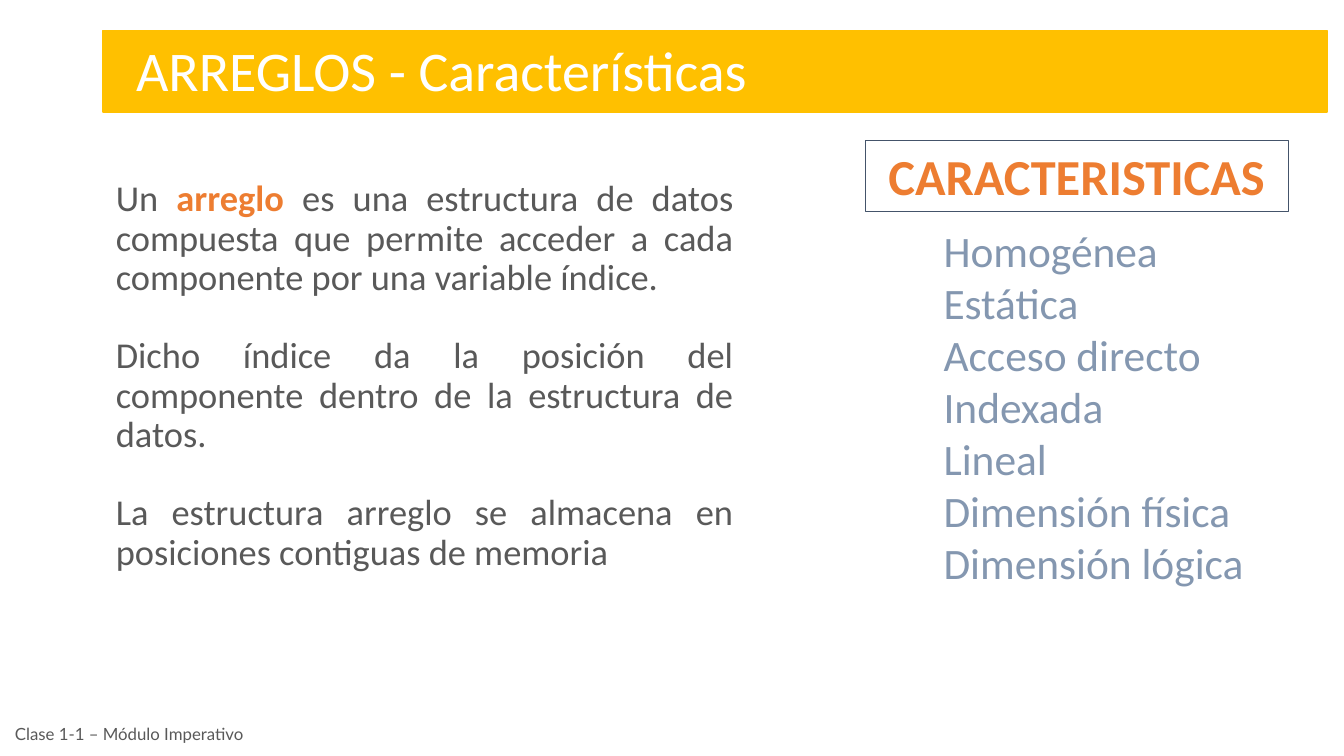
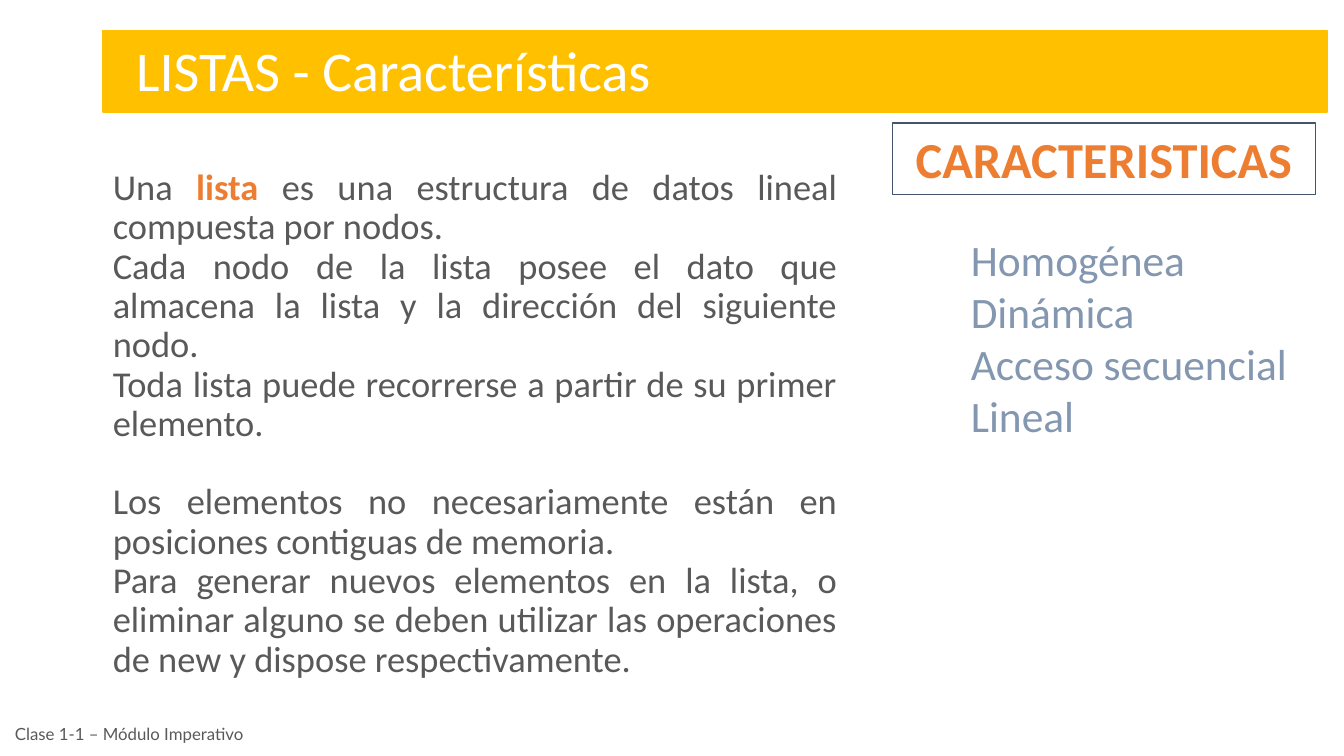
from pptx import Presentation
from pptx.dml.color import RGBColor
from pptx.enum.shapes import MSO_SHAPE as Shape
from pptx.enum.text import MSO_ANCHOR as Anchor, MSO_AUTO_SIZE as AutoSize, PP_ALIGN as Align
from pptx.util import Inches, Pt

AMBER = RGBColor(0xFF, 0xC0, 0x00)
WHITE = RGBColor(0xFF, 0xFF, 0xFF)
GRAY = RGBColor(0x59, 0x59, 0x59)
ORANGE = RGBColor(0xED, 0x7D, 0x31)
NAVY = RGBColor(0x44, 0x54, 0x6A)
STEEL = RGBColor(0x84, 0x97, 0xB0)
FOOTER = "Clase 1-1 – Módulo Imperativo"
TITLE_ONLY = 5


class Deck:
    """Holds the shared style and the current slide."""

    def __init__(self):
        self.presentation = Presentation()
        self.presentation.slide_width = Inches(13.33)
        self.presentation.slide_height = Inches(7.5)
        self.slide = None

    def format_runs(self, paragraph, size, color, bold=False, font="Calibri"):
        for run in paragraph.runs:
            run.font.name = font
            run.font.size = Pt(size)
            run.font.color.rgb = color
            run.font.bold = bold

    def set_text(self, shape, text, size, color, align=Align.LEFT, anchor=Anchor.TOP, **style):
        text_frame = shape.text_frame
        text_frame.text = text
        text_frame.word_wrap = True
        text_frame.auto_size = AutoSize.NONE
        text_frame.vertical_anchor = anchor
        for paragraph in text_frame.paragraphs:
            paragraph.alignment = align
            self.format_runs(paragraph, size, color, **style)

    def textbox(self, left, top, width, height):
        return self.slide.shapes.add_textbox(
            Inches(left), Inches(top), Inches(width), Inches(height))

    def rectangle(self, left, top, width, height, line_color, line_width, fill=None):
        shape = self.slide.shapes.add_shape(
            Shape.RECTANGLE, Inches(left), Inches(top), Inches(width), Inches(height))
        shape.shadow.inherit = False
        shape.line.color.rgb = line_color
        shape.line.width = Pt(line_width)
        if fill is None:
            shape.fill.background()
        else:
            shape.fill.solid()
            shape.fill.fore_color.rgb = fill
        return shape

    def add_slide(self, title_text):
        layout = self.presentation.slide_layouts[TITLE_ONLY]
        self.slide = self.presentation.slides.add_slide(layout)
        title = self.slide.shapes.title
        title.left, title.top = Inches(1.25), Inches(0.3)
        title.width, title.height = Inches(6.32), Inches(0.77)
        self.set_text(title, title_text, 40, WHITE)
        band = self.rectangle(1.02, 0.3, 12.14, 0.81, AMBER, 1, AMBER)
        title.element.addprevious(band.element)
        self.set_text(self.textbox(0.05, 7.05, 3.19, 0.45), FOOTER, 12, GRAY,
                      anchor=Anchor.MIDDLE, font="Lato")

    def body(self, left, top, width, height, groups):
        """Adds groups of paragraphs a line apart; asterisks mark the keyword."""
        text_frame = self.textbox(left, top, width, height).text_frame
        text_frame.word_wrap = True
        paragraph = text_frame.paragraphs[0]
        for group_index, group in enumerate(groups):
            for index, text in enumerate(group):
                if group_index or index:
                    paragraph = text_frame.add_paragraph()
                if group_index and index == 0:
                    paragraph.space_before = Pt(28)
                paragraph.alignment = Align.JUSTIFY
                paragraph.line_spacing = 0.9
                for part in text.split("*"):
                    paragraph.add_run().text = part
                self.format_runs(paragraph, 26, GRAY)
                for keyword in paragraph.runs[1::2]:
                    keyword.font.color.rgb = ORANGE
                    keyword.font.bold = True

    def characteristics(self, left, top, list_top, list_height, items):
        heading = self.rectangle(left, top, 4.2, 0.71, NAVY, 0.75)
        self.set_text(heading, "CARACTERISTICAS", 36, ORANGE, Align.CENTER, bold=True)
        item_list = self.textbox(left + 0.68, list_top, 3.52, list_height)
        self.set_text(item_list, "\n".join(items), 31, STEEL)


def main():
    deck = Deck()

    deck.add_slide("ARREGLOS - Características")
    deck.body(1.05, 1.74, 6.33, 4.61, [
        ["Un *arreglo* es una estructura de datos compuesta que permite acceder "
         "a cada componente por una variable índice."],
        ["Dicho índice da la posición del componente dentro de la estructura de datos."],
        ["La estructura arreglo se almacena en posiciones contiguas de memoria"],
    ])
    deck.characteristics(8.58, 1.39, 2.17, 3.75, [
        "Homogénea", "Estática", "Acceso directo", "Indexada", "Lineal",
        "Dimensión física", "Dimensión lógica"])

    deck.add_slide("LISTAS - Características")
    deck.body(1.02, 1.63, 7.39, 5.42, [
        ["Una *lista* es una estructura de datos lineal compuesta por nodos.",
         "Cada nodo de la lista posee el dato que almacena la lista y la dirección "
         "del siguiente nodo.",
         "Toda lista puede recorrerse a partir de su primer elemento."],
        ["Los elementos no necesariamente están en posiciones contiguas de memoria.",
         "Para generar nuevos elementos en la lista, o eliminar alguno se deben utilizar "
         "las operaciones de new y dispose respectivamente."],
    ])
    deck.characteristics(8.85, 1.22, 2.26, 2.19, [
        "Homogénea", "Dinámica", "Acceso secuencial", "Lineal"])

    deck.presentation.save("out.pptx")


if __name__ == "__main__":
    main()
